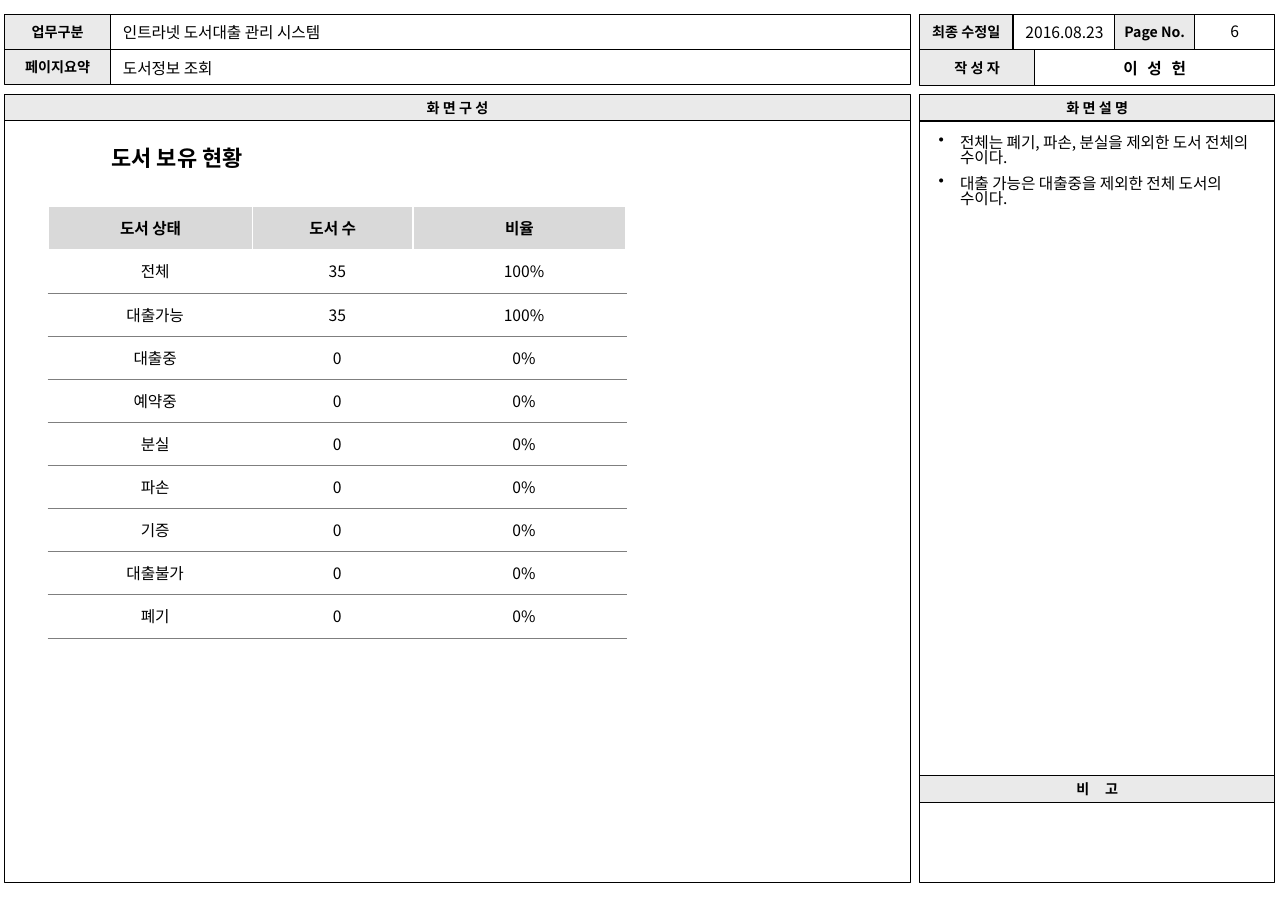
"""Build the book holdings screen specification slide."""
from lxml import etree
from pptx import Presentation
from pptx.dml.color import RGBColor
from pptx.enum.shapes import MSO_SHAPE
from pptx.enum.text import MSO_ANCHOR, PP_ALIGN
from pptx.oxml.ns import qn
from pptx.util import Emu, Inches, Pt

RECTANGLE = MSO_SHAPE.RECTANGLE
TOP, MIDDLE = MSO_ANCHOR.TOP, MSO_ANCHOR.MIDDLE
LEFT, CENTER = PP_ALIGN.LEFT, PP_ALIGN.CENTER
FONT = "Noto Sans CJK KR"
COLORS = {"ink": "000000", "label": "EAEAEA", "header": "D9D9D9",
          "gap": "FFFFFF", "rule": "7F7F7F"}

LABELS = [
    ("업무구분", (0.04, 0.13, 0.94, 0.31), 0),
    ("페이지요약", (0.04, 0.44, 0.94, 0.31), 0),
    ("최종 수정일", (8.15, 0.13, 0.83, 0.31), 0),
    ("Page No.", (9.88, 0.13, 0.71, 0.31), 0),
    ("작 성 자", (8.15, 0.44, 1.02, 0.32), 0),
    ("화 면 구 성", (0.04, 0.84, 8.03, 0.23), 0),
    ("화 면 설 명", (8.15, 0.84, 3.15, 0.24), 0),
    ("비 고", (8.15, 6.87, 3.15, 0.24), 4),
]
FRAMES = [
    (0.98, 0.13, 7.09, 0.31), (0.98, 0.44, 7.09, 0.31),
    (8.98, 0.13, 0.9, 0.31), (10.59, 0.13, 0.71, 0.31),
    (9.17, 0.44, 2.13, 0.32), (0.04, 1.07, 8.03, 6.75),
    (8.15, 1.07, 3.15, 5.8), (8.15, 7.11, 3.15, 0.71),
]
NOTES = ["전체는 폐기, 파손, 분실을 제외한 도서 전체의 수이다.",
         "대출 가능은 대출중을 제외한 전체 도서의 수이다."]
HOLDINGS = [
    ("도서 상태", "도서 수", "비율"),
    ("전체", "35", "100%"),
    ("대출가능", "35", "100%"),
    ("대출중", "0", "0%"),
    ("예약중", "0", "0%"),
    ("분실", "0", "0%"),
    ("파손", "0", "0%"),
    ("기증", "0", "0%"),
    ("대출불가", "0", "0%"),
    ("폐기", "0", "0%"),
]
COLUMN_WIDTHS = (1.81, 1.42, 1.89)


def rgb(name):
    """Return a named colour."""
    return RGBColor.from_string(COLORS[name])


def style(paragraph, size, bold=False, align=CENTER, spacing=0):
    """Set alignment, font and letter spacing in points of a paragraph."""
    paragraph.alignment = align
    font = paragraph.font
    font.size, font.bold, font.name = Pt(size), bold, FONT
    font.color.rgb = rgb("ink")
    defaults = paragraph._p.pPr.find(qn("a:defRPr"))
    latin = defaults.find(qn("a:latin"))
    latin.addnext(latin.makeelement(qn("a:ea"), {"typeface": FONT}))
    if spacing:
        defaults.set("spc", str(spacing * 100))


def set_insets(holder, left, top, right, bottom):
    """Set the inner margins of a text frame or a cell."""
    holder.margin_left, holder.margin_top = Inches(left), Inches(top)
    holder.margin_right, holder.margin_bottom = Inches(right), Inches(bottom)


def add_frame(slide, box):
    """Add an outlined, unfilled rectangle."""
    frame = slide.shapes.add_shape(RECTANGLE, *map(Inches, box))
    frame.shadow.inherit = False
    frame.fill.background()
    frame.line.color.rgb = rgb("ink")
    frame.line.width = Pt(0.75)
    return frame


def add_label(slide, text, box, spacing):
    """Add a grey rectangle with a bold caption."""
    label = add_frame(slide, box)
    label.fill.solid()
    label.fill.fore_color.rgb = rgb("label")
    caption = label.text_frame
    caption.word_wrap = False
    caption.vertical_anchor = MIDDLE
    caption.text = text
    style(caption.paragraphs[0], 9, bold=True, spacing=spacing)


def add_text_frame(slide, text, box, insets, anchor):
    """Add a wrapping text box and return its text frame."""
    frame = slide.shapes.add_textbox(*map(Inches, box)).text_frame
    frame.word_wrap = True
    frame.vertical_anchor = anchor
    set_insets(frame, *insets)
    frame.text = text
    return frame


def add_text(slide, text, box, inset, size=10, **looks):
    """Add a one-line text."""
    edge = min(inset, 0.05)
    frame = add_text_frame(slide, text, box, (inset, edge, inset, edge), MIDDLE)
    style(frame.paragraphs[0], size, **looks)


def add_notes(slide, box):
    """Add the bulleted description of the screen."""
    frame = add_text_frame(slide, "\n".join(NOTES), box, (0, 0, 0, 0), TOP)
    for index, paragraph in enumerate(frame.paragraphs):
        properties = paragraph._p.get_or_add_pPr()
        properties.set("marL", str(Inches(0.19)))
        properties.set("indent", str(-Inches(0.19)))
        etree.SubElement(properties, qn("a:buChar"), char="•")
        paragraph.line_spacing = 0.84
        if index:
            paragraph.space_before = Pt(6)
        style(paragraph, 10, align=LEFT)


def add_border(cell, side, color, width):
    """Add one border line to a cell."""
    line = etree.SubElement(cell._tc.get_or_add_tcPr(), qn("a:ln" + side),
                            w=str(Pt(width)))
    fill = etree.SubElement(line, qn("a:solidFill"))
    etree.SubElement(fill, qn("a:srgbClr"), val=COLORS[color])


def fill_cell(cell, text, row):
    """Write and format one cell of the holdings table."""
    gap, rule = ("gap", 1.08), ("rule", 0.11)
    top = rule if row > 1 else gap
    bottom = rule if row else gap
    for side, border in zip("LRTB", (gap, gap, top, bottom)):
        add_border(cell, side, *border)
    if row:
        cell.fill.background()
    else:
        cell.fill.solid()
        cell.fill.fore_color.rgb = rgb("header")
    set_insets(cell, 0.1 if row else 0.02, 0.05, 0.02, 0.05)
    cell.vertical_anchor = MIDDLE
    cell.text = text
    style(cell.text_frame.paragraphs[0], 10, bold=not row)


def add_holdings(slide, left, top, height):
    """Add the table of books by status."""
    table = slide.shapes.add_table(
        len(HOLDINGS), len(COLUMN_WIDTHS), Inches(left), Inches(top),
        Inches(sum(COLUMN_WIDTHS)), Inches(height)).table
    table.first_row = table.horz_banding = False
    for column, width in zip(table.columns, COLUMN_WIDTHS):
        column.width = Inches(width)
    for row, values in enumerate(HOLDINGS):
        for column, value in enumerate(values):
            fill_cell(table.cell(row, column), value, row)


def main():
    """Build and save the slide."""
    deck = Presentation()
    deck.slide_width, deck.slide_height = Emu(10439400), Emu(7380288)
    slide = deck.slides.add_slide(deck.slide_layouts[6])
    for label in LABELS:
        add_label(slide, *label)
    for box in FRAMES:
        add_frame(slide, box)
    add_text(slide, "인트라넷 도서대출 관리 시스템", (0.98, 0.15, 3.56, 0.27),
             0.11, align=LEFT)
    add_text(slide, "도서정보 조회", (0.98, 0.47, 3.56, 0.27), 0.11, align=LEFT)
    add_text(slide, "2016.08.23", (8.98, 0.15, 0.96, 0.27), 0.11, align=LEFT)
    add_text(slide, "6", (10.59, 0.13, 0.71, 0.3), 0.1)
    add_text(slide, "이 성 헌", (9.25, 0.47, 1.97, 0.27), 0.1, bold=True,
             spacing=2)
    add_text(slide, "도서 보유 현황", (0.51, 1.26, 2.12, 0.27), 0.02, size=14,
             bold=True)
    add_notes(slide, (8.32, 1.2, 2.9, 0.75))
    add_holdings(slide, 0.43, 1.83, 3.82)
    deck.save("out.pptx")


if __name__ == "__main__":
    main()
